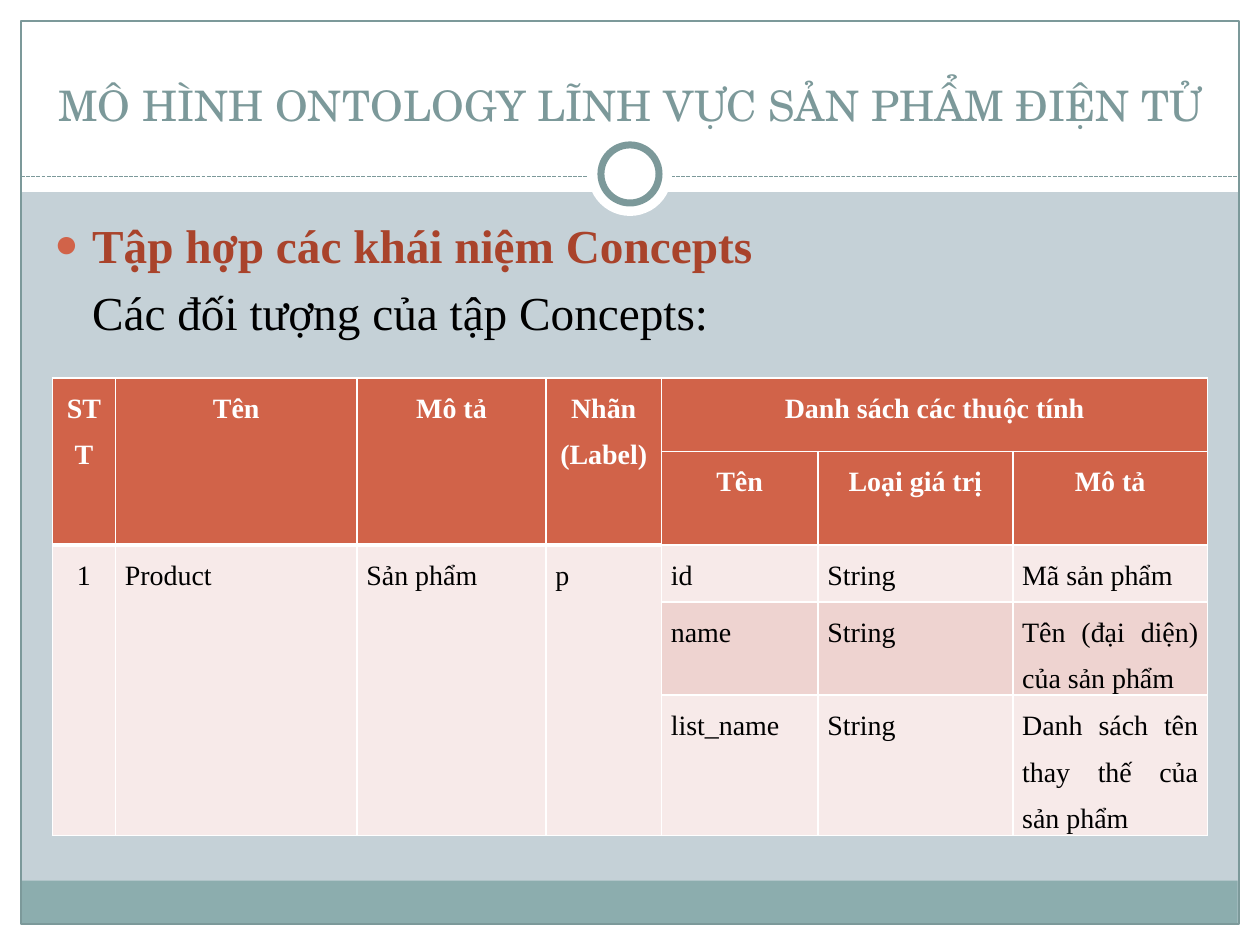
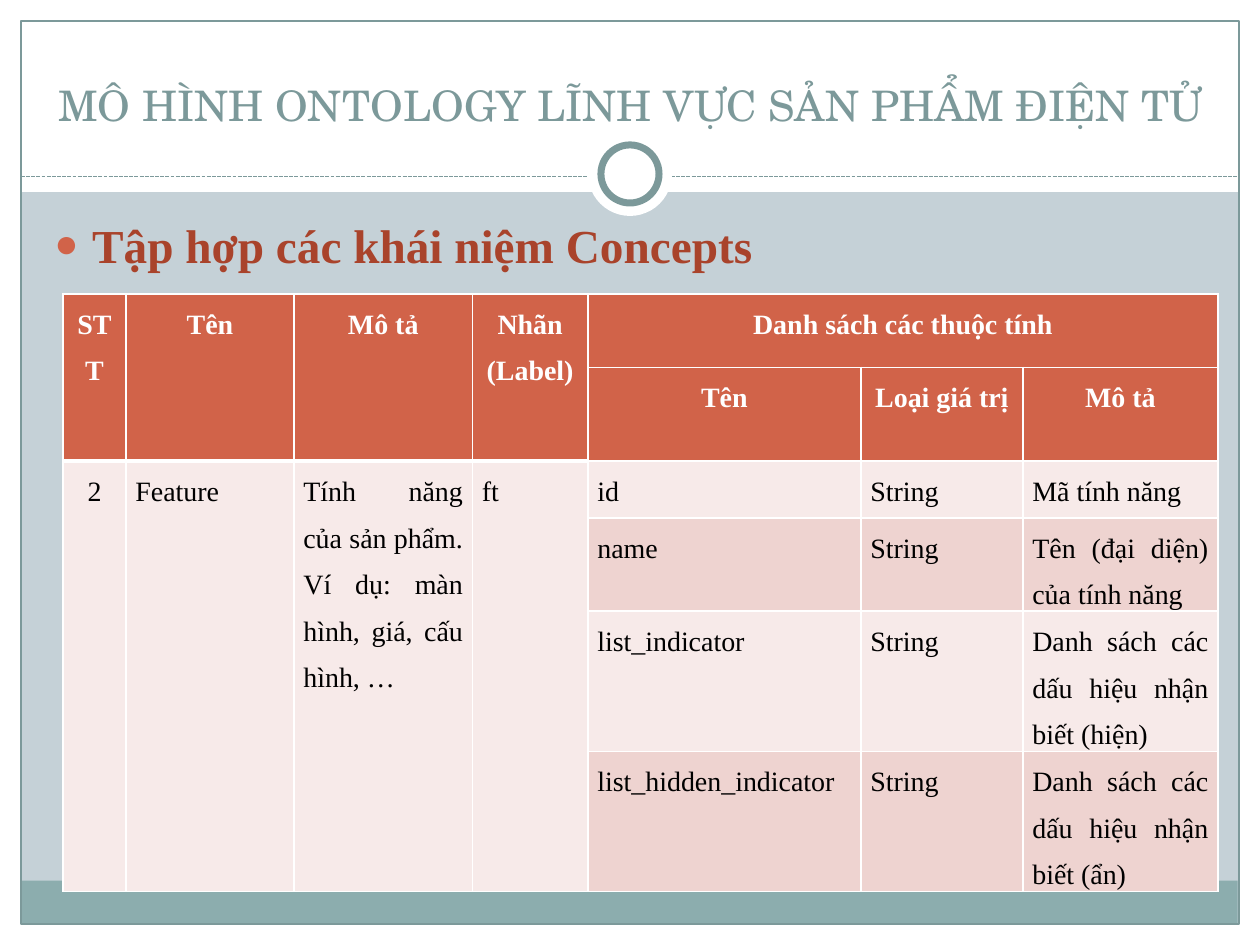
from lxml import etree
from pptx import Presentation
from pptx.dml.color import RGBColor
from pptx.enum.dml import MSO_LINE
from pptx.enum.shapes import MSO_CONNECTOR, MSO_SHAPE
from pptx.enum.text import MSO_ANCHOR, PP_ALIGN
from pptx.oxml.ns import qn
from pptx.util import Pt

# Content
TITLE = "MÔ HÌNH ONTOLOGY LĨNH VỰC SẢN PHẨM ĐIỆN TỬ"
POINT = "Tập hợp các khái niệm Concepts"
HEADS = ["STT", "Tên", "Mô tả", "Nhãn (Label)"]
GROUP = "Danh sách các thuộc tính"
FIELDS = ["Tên", "Loại giá trị", "Mô tả"]
# Each field: name, type, description, lines of text it takes
PAGES = [
    {
        "note": "Các đối tượng của tập Concepts:",
        "at": (30, 216),
        "cols": [36, 138, 108, 66, 89.4, 111.4, 111.4],
        "item": ["1", "Product", "Sản phẩm", "p"],
        "fields": [
            ("id", "String", "Mã sản phẩm", 1),
            ("name", "String", "Tên (đại diện) của sản phẩm", 2),
            ("list_name", "String", "Danh sách tên thay thế của sản phẩm", 3),
        ],
    },
    {
        "note": None,
        "at": (36, 168),
        "cols": [36, 96, 102, 66, 156, 92.6, 111.4],
        "item": ["2", "Feature",
                 "Tính năng của sản phẩm. Ví dụ: màn hình, giá, cấu hình, …", "ft"],
        "fields": [
            ("id", "String", "Mã tính năng", 1),
            ("name", "String", "Tên (đại diện) của tính năng", 2),
            ("list_indicator", "String",
             "Danh sách các dấu hiệu nhận biết (hiện)", 3),
            ("list_hidden_indicator", "String",
             "Danh sách các dấu hiệu nhận biết (ẩn)", 3),
        ],
    },
]

# Style
WHITE = RGBColor(0xFF, 0xFF, 0xFF)
BLACK = RGBColor(0, 0, 0)
SKY = RGBColor(0xC5, 0xD1, 0xD7)
TEAL = RGBColor(0x7C, 0x99, 0x9A)
BAND = RGBColor(0x8C, 0xAD, 0xAE)
RUST = RGBColor(0xD1, 0x63, 0x49)
BRICK = RGBColor(0xA9, 0x43, 0x2B)
TINTS = [RGBColor(0xF7, 0xEA, 0xE9), RGBColor(0xEE, 0xD3, 0xD0)]
SERIF, ROMAN = "TeX Gyre Schola", "Times New Roman"
RECT, OVAL = MSO_SHAPE.RECTANGLE, MSO_SHAPE.OVAL
STRAIGHT, DASH = MSO_CONNECTOR.STRAIGHT, MSO_LINE.SQUARE_DOT
CENTER, FULL, BOTTOM = PP_ALIGN.CENTER, PP_ALIGN.JUSTIFY, MSO_ANCHOR.BOTTOM

WIDE, HIGH, EDGE = 720, 540, 12
RULE = 100.8
HEAD_ROWS = [42, 53.5]
# Row height per text line, least row height, and line pitch
LINE, LEAST, PITCH = 26.7, 32.4, 26.6


def pts(*nums):
    return [Pt(n) for n in nums]


def shape(slide, kind, box, fill=None, line=None, width=0.75):
    part = slide.shapes.add_shape(kind, *pts(*box))
    part.shadow.inherit = False
    if fill is None:
        part.fill.background()
    else:
        part.fill.solid()
        part.fill.fore_color.rgb = fill
    if line is None:
        part.line.fill.background()
    else:
        part.line.color.rgb = line
        part.line.width = Pt(width)


def style(para, text, face, size, color, bold=False):
    para.text = text
    font = para.font
    font.name, font.size, font.bold = face, Pt(size), bold
    font.color.rgb = color


def frame(slide):
    slide.background.fill.solid()
    slide.background.fill.fore_color.rgb = SKY
    # White margins, foot band and outline
    for box in [(0, HIGH - EDGE, WIDE, EDGE), (0, 0, WIDE, 109.7),
                (0, 0, EDGE, HIGH), (WIDE - EDGE, 0, EDGE, HIGH)]:
        shape(slide, RECT, box, WHITE)
    shape(slide, RECT, (11.75, 503.2, 695.5, 24.6), BAND)
    shape(slide, RECT, (EDGE, EDGE, WIDE - 2 * EDGE, HIGH - 2 * EDGE), line=TEAL)
    # Dashed rule with a ring in the middle
    rule = slide.shapes.add_connector(
        STRAIGHT, *pts(EDGE, RULE, WIDE - EDGE, RULE))
    rule.line.color.rgb = TEAL
    rule.line.width = Pt(0.75)
    rule.line.dash_style = DASH
    etree.SubElement(rule._element.spPr, qn("a:effectLst"))
    for size, line in [(48, None), (33.2, TEAL)]:
        box = ((WIDE - size) / 2, 99.4 - size / 2, size, size)
        shape(slide, OVAL, box, WHITE, line, 4)


def title(slide):
    text = slide.shapes.add_textbox(*pts(24, 18, 672, 60)).text_frame
    text.word_wrap = True
    text.margin_left = text.margin_right = 0
    text.vertical_anchor = BOTTOM
    para = text.paragraphs[0]
    style(para, TITLE, SERIF, 24, TEAL)
    para.alignment = CENTER


def body(slide, note):
    text = slide.shapes.add_textbox(*pts(24, 120, 669.6, 360)).text_frame
    text.word_wrap = True
    para = text.paragraphs[0]
    style(para, POINT, ROMAN, 27, BRICK, True)
    para.space_before = Pt(4)
    props = para._p.get_or_add_pPr()
    props.set("marL", str(Pt(21.6)))
    props.set("indent", str(-Pt(21.6)))
    tint = etree.SubElement(props, qn("a:buClr"))
    etree.SubElement(tint, qn("a:srgbClr"), val=str(RUST))
    etree.SubElement(props, qn("a:buSzPct"), val="85000")
    etree.SubElement(props, qn("a:buFont"), typeface=ROMAN)
    etree.SubElement(props, qn("a:buChar"), char="●")
    # The default run style must follow the bullet
    props.append(props.find(qn("a:defRPr")))
    if note:
        para = text.add_paragraph()
        style(para, note, ROMAN, 27, BLACK)
        para.space_before = Pt(6)
        para._p.get_or_add_pPr().set("marL", str(Pt(21.6)))


def border(cell, top, base):
    props = cell._tc.get_or_add_tcPr()
    for side, width in [("L", 1), ("R", 1), ("T", top), ("B", base)]:
        line = etree.SubElement(props, qn("a:ln" + side), w=str(Pt(width)))
        fill = etree.SubElement(line, qn("a:solidFill"))
        etree.SubElement(fill, qn("a:srgbClr"), val=str(WHITE))


def table(slide, page):
    rows = [HEADS + [GROUP, "", ""], [""] * 4 + FIELDS]
    for i, field in enumerate(page["fields"]):
        rows.append((page["item"] if i == 0 else [""] * 4) + list(field[:3]))
    highs = HEAD_ROWS + [max(LEAST, LINE * f[3]) for f in page["fields"]]
    cols = page["cols"]
    box = pts(*page["at"], sum(cols), sum(highs))
    grid = slide.shapes.add_table(len(rows), len(cols), *box).table
    for col, width in zip(grid.columns, cols):
        col.width = Pt(width)
    for row, high in zip(grid.rows, highs):
        row.height = Pt(high)
    # Cells
    for r, row in enumerate(rows):
        head = r < 2
        for c, words in enumerate(row):
            cell = grid.cell(r, c)
            left = c < 4
            border(cell, 3 if left and r == 2 else 1, 3 if left and head else 1)
            cell.fill.solid()
            cell.fill.fore_color.rgb = RUST if head else TINTS[0 if left else r % 2]
            cell.margin_left = cell.margin_right = Pt(5.4)
            cell.margin_top = cell.margin_bottom = 0
            para = cell.text_frame.paragraphs[0]
            style(para, words, ROMAN, 16, WHITE if head else BLACK, head)
            para.alignment = CENTER if head or c == 0 else FULL
            para.line_spacing = Pt(PITCH)
    # Spans
    for c in range(4):
        grid.cell(0, c).merge(grid.cell(1, c))
        grid.cell(2, c).merge(grid.cell(len(rows) - 1, c))
    grid.cell(0, 4).merge(grid.cell(0, 6))


def main():
    deck = Presentation()
    deck.slide_width, deck.slide_height = pts(WIDE, HIGH)
    for page in PAGES:
        slide = deck.slides.add_slide(deck.slide_layouts[6])
        frame(slide)
        title(slide)
        body(slide, page["note"])
        table(slide, page)
    deck.save("out.pptx")


if __name__ == "__main__":
    main()
